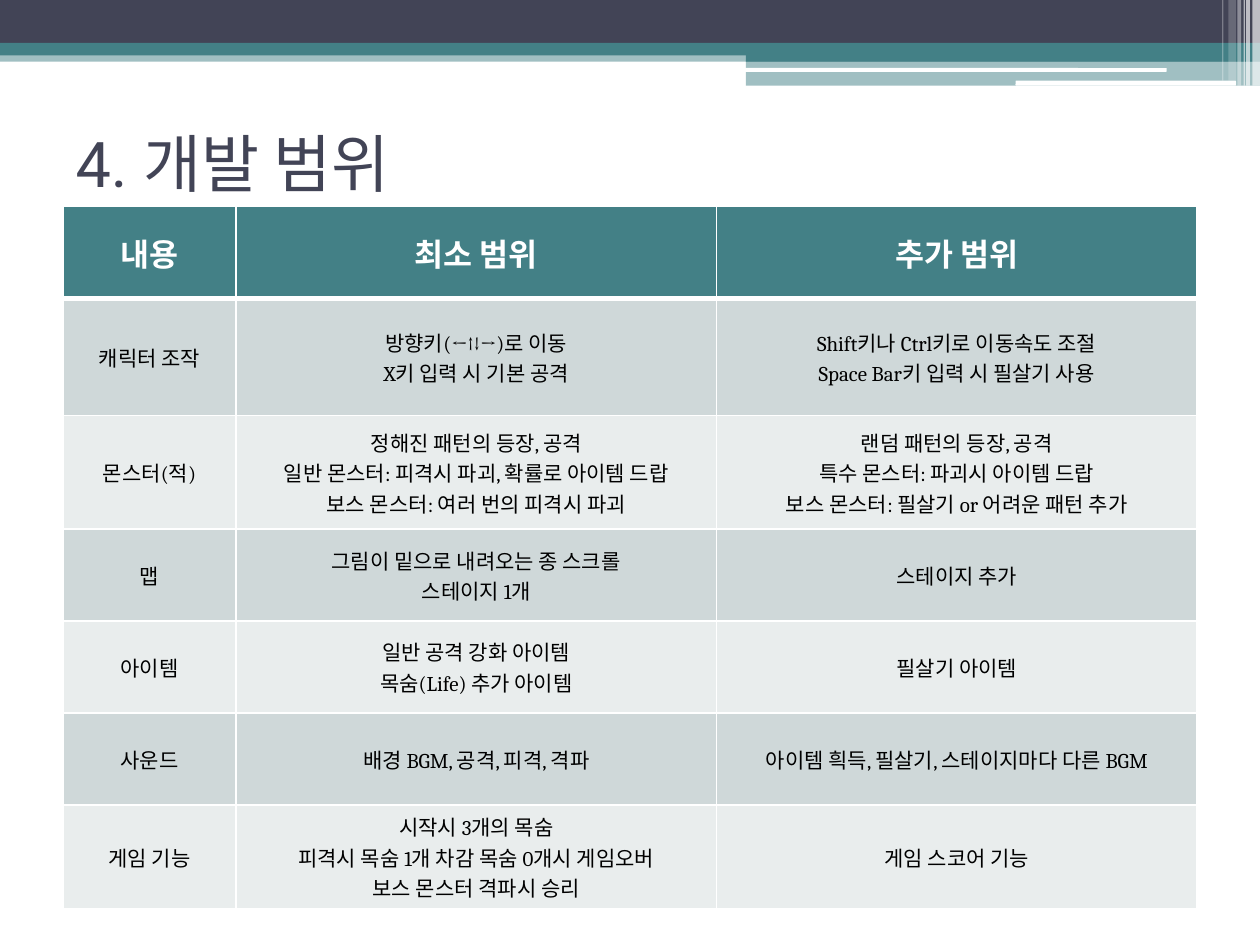
from lxml import etree
from pptx import Presentation
from pptx.dml.color import RGBColor
from pptx.enum import shapes, text
from pptx.oxml.ns import qn
from pptx.util import Inches, Pt

WIDTH, HEIGHT = Inches(10), Inches(7.5)
COLORS = {
    "navy": "424456", "teal": "438086", "white": "FFFFFF",
    "black": "000000", "odd": "CFD8D9", "even": "E9EDED",
}

# Bands as left, top, width, height in percent of the slide, colour, opacity
BANDS = [
    (0, 5.33, 100, 1.2, "teal", 50),
    (0, 0, 100, 4.53, "navy", 100),
    (0, 4.53, 100, 1.33, "teal", 100),
    (59.2, 5.2, 40.8, 1.33, "teal", 100),
    (59.2, 6.4, 40.8, 2.67, "teal", 50),
]
ROUNDED_LINES = [
    (59.1, 7.2, 33.5, 0.4, "white", 100),
    (80.6, 8.53, 17.5, 0.53, "white", 100),
]
# Corner stripes as left, width, height, opacity
STRIPES = [
    (99.4, 0.6, 9.07, 65), (98.9, 0.3, 9.07, 65), (98.7, 0.1, 9.07, 60),
    (98.2, 0.3, 9.07, 40), (97.5, 0.6, 8.53, 20), (97, 0.1, 8.53, 30),
]

COLUMN_SHARES = [13.74, 38.13, 38.13]
ROW_SHARES = [9.73, 12.4, 12] + [9.73] * 4
SCOPE = [
    ("내용", "최소 범위", "추가 범위"),
    ("캐릭터 조작",
     "방향키(←↑↓→)로 이동\nX키 입력 시 기본 공격",
     "Shift키나 Ctrl키로 이동속도 조절\nSpace Bar키 입력 시 필살기 사용"),
    ("몬스터(적)",
     "정해진 패턴의 등장, 공격\n일반 몬스터: 피격시 파괴, 확률로 아이템 드랍\n"
     "보스 몬스터: 여러 번의 피격시 파괴",
     "랜덤 패턴의 등장, 공격\n특수 몬스터: 파괴시 아이템 드랍\n"
     "보스 몬스터: 필살기 or 어려운 패턴 추가"),
    ("맵", "그림이 밑으로 내려오는 종 스크롤\n스테이지 1개", "스테이지 추가"),
    ("아이템", "일반 공격 강화 아이템\n목숨(Life) 추가 아이템", "필살기 아이템"),
    ("사운드", "배경 BGM, 공격, 피격, 격파", "아이템 흭득, 필살기, 스테이지마다 다른 BGM"),
    ("게임 기능",
     "시작시 3개의 목숨\n피격시 목숨 1개 차감 목숨 0개시 게임오버\n보스 몬스터 격파시 승리",
     "게임 스코어 기능"),
]


def across(percent):
    return int(WIDTH * percent / 100)


def down(percent):
    return int(HEIGHT * percent / 100)


def area(left, top, width, height):
    return across(left), down(top), across(width), down(height)


def paint(fill, color):
    fill.solid()
    fill.fore_color.rgb = RGBColor.from_string(COLORS[color])


def format_text(frame, font, size, color, align, bold=False):
    frame.vertical_anchor = text.MSO_ANCHOR.MIDDLE
    for para in frame.paragraphs:
        para.alignment = align
        for span in para.runs:
            span.font.name = font
            span.font.size = Pt(size)
            span.font.bold = bold
            span.font.color.rgb = RGBColor.from_string(COLORS[color])


def add_band(page, left, top, width, height, color, opacity,
             kind=shapes.MSO_SHAPE.RECTANGLE):
    band = page.shapes.add_shape(kind, *area(left, top, width, height))
    band.shadow.inherit = False
    band.line.fill.background()
    paint(band.fill, color)
    if opacity < 100:
        tint = band.fill._xPr.find(qn("a:solidFill"))[0]
        etree.SubElement(tint, qn("a:alpha"), val=str(opacity * 1000))


def add_header(page):
    for band in BANDS:
        add_band(page, *band)
    for line in ROUNDED_LINES:
        add_band(page, *line, kind=shapes.MSO_SHAPE.ROUNDED_RECTANGLE)
    for left, width, height, opacity in STRIPES:
        add_band(page, left, 0, width, height, "white", opacity)


def set_title(page, wording):
    title = page.shapes.title
    title.left, title.top, title.width, title.height = area(5, 9.33, 90, 15.6)
    title.text_frame.text = wording
    format_text(title.text_frame, "Roboto", 36, "navy", text.PP_ALIGN.LEFT)


def set_borders(cell, top, bottom):
    properties = cell._tc.get_or_add_tcPr()
    for side, width in (("L", 1), ("R", 1), ("T", top), ("B", bottom)):
        line = etree.SubElement(properties, qn(f"a:ln{side}"), w=str(Pt(width)))
        fill = etree.SubElement(line, qn("a:solidFill"))
        etree.SubElement(fill, qn("a:srgbClr"), val=COLORS["white"])


def add_scope_table(page):
    table = page.shapes.add_table(
        len(SCOPE), len(COLUMN_SHARES),
        *area(5, 21.87, sum(COLUMN_SHARES), sum(ROW_SHARES))).table
    for column, share in zip(table.columns, COLUMN_SHARES):
        column.width = across(share)
    for row, share in zip(table.rows, ROW_SHARES):
        row.height = down(share)

    for index, (row, wordings) in enumerate(zip(table.rows, SCOPE)):
        heading = index == 0
        stripe = "teal" if heading else ("even", "odd")[index % 2]
        for cell, wording in zip(row.cells, wordings):
            # The thick rule is shared by the heading and the first row
            set_borders(cell, top=3 if index == 1 else 1, bottom=3 if heading else 1)
            paint(cell.fill, stripe)
            cell.text_frame.text = wording
            format_text(cell.text_frame, "Cambria", 18 if heading else 12,
                        "white" if heading else "black",
                        text.PP_ALIGN.CENTER, bold=heading)
            cell.vertical_anchor = text.MSO_ANCHOR.MIDDLE


def main():
    deck = Presentation()
    deck.slide_width, deck.slide_height = WIDTH, HEIGHT
    page = deck.slides.add_slide(deck.slide_layouts[5])
    add_header(page)
    set_title(page, "4. 개발 범위")
    add_scope_table(page)
    deck.save("out.pptx")


if __name__ == "__main__":
    main()
